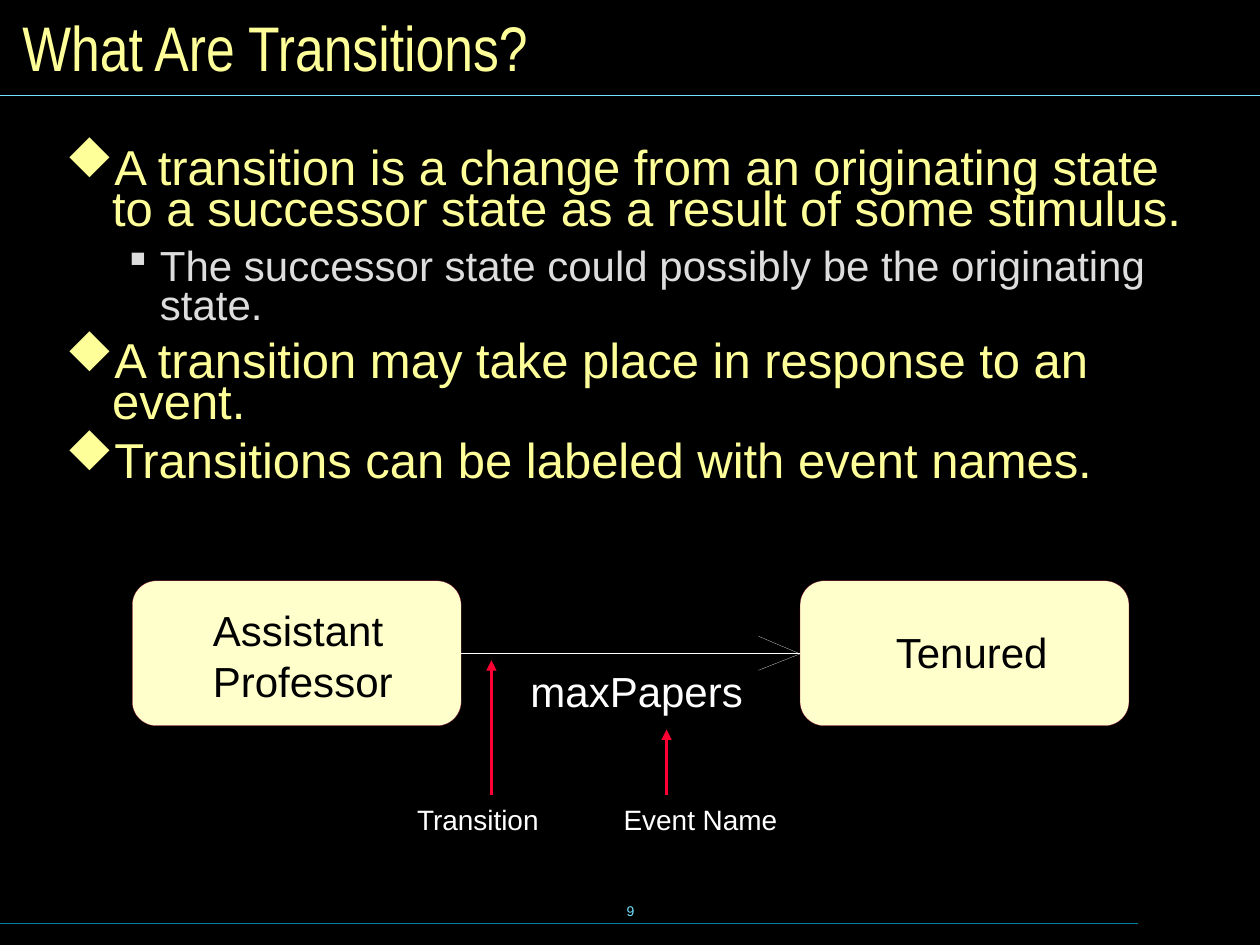
from lxml import etree
from pptx import Presentation
from pptx import util as u
from pptx.dml.color import RGBColor
from pptx.enum import shapes, text
from pptx.oxml import ns

BLACK = RGBColor(0x00, 0x00, 0x00)
WHITE = RGBColor(0xFF, 0xFF, 0xFF)
YELLOW = RGBColor(0xFF, 0xFF, 0x99)
GRAY = RGBColor(0xDD, 0xDD, 0xDD)
CREAM = RGBColor(0xFF, 0xFF, 0xCC)
WINE = RGBColor(0x99, 0x00, 0x33)
RED = RGBColor(0xFF, 0x00, 0x33)
SKY = RGBColor(0x73, 0xE1, 0xFF)
TEAL = RGBColor(0x00, 0x7E, 0x9F)

TITLE = "What Are Transitions?"
POINTS = [
    (0, "A transition is a change from an originating state to a successor state as a result of some stimulus."),
    (1, "The successor state could possibly be the originating state."),
    (0, "A transition may take place in response to an event."),
    (0, "Transitions can be labeled with event names."),
]
LEVELS = [
    dict(mark="u", left=0.37, hang=0.37, size=28, color=YELLOW, line=0.7, gap=10),
    dict(mark="§", left=0.75, hang=0.25, size=24, color=GRAY, line=0.77, gap=9),
]
STATES = [
    (1.05, "Assistant\nProfessor", (1.69, 4.8, 1.43, 0.8)),
    (6.35, "Tenured", (7.11, 4.97, 1.24, 0.4)),
]
EVENT = ("maxPapers", (4.21, 5.28, 1.69, 0.4))
NOTES = [
    ("Transition", (3.19, 6.31, 1.21, 0.39), 3.9, 5.24),
    ("Event Name", (4.83, 6.31, 1.46, 0.39), 5.29, 5.79),
]
RULES = [(0.76, 10, SKY), (7.33, 9.03, TEAL)]
TOP, WIDE, HIGH = 4.61, 2.61, 1.15
TIP = (6.35, 5.19)
BARBS = [(6.02, 5.05), (6.02, 5.32)]
THIN = 0.1

deck = Presentation()
deck.slide_width, deck.slide_height = u.Inches(10), u.Inches(7.5)
slide = deck.slides.add_slide(deck.slide_layouts[6])
slide.background.fill.solid()
slide.background.fill.fore_color.rgb = BLACK


def style(font, size, color, face="Arial"):
    font.size, font.name = u.Pt(size), face
    font.color.rgb = color


def add_box(at, pad, wrap=False, middle=False):
    frame = slide.shapes.add_textbox(*map(u.Inches, at)).text_frame
    frame.word_wrap = wrap
    frame.margin_left = frame.margin_right = u.Inches(pad)
    frame.margin_top = frame.margin_bottom = u.Inches(pad / 2)
    if middle:
        frame.vertical_anchor = text.MSO_ANCHOR.MIDDLE
    return frame


def add_text(words, at, size=24, color=WHITE, face="Arial", pad=0,
             wrap=False, middle=False, align=text.PP_ALIGN.LEFT):
    frame = add_box(at, pad, wrap, middle)
    frame.text = words
    for para in frame.paragraphs:
        para.alignment = align
        style(para.font, size, color, face)


def add_line(start, end, color, width, head=False):
    line = slide.shapes.add_connector(
        shapes.MSO_CONNECTOR.STRAIGHT, *map(u.Inches, (*start, *end)))
    line.line.color.rgb = color
    line.line.width = u.Pt(width)
    if head:
        etree.SubElement(line.line._get_or_add_ln(), ns.qn("a:tailEnd"), type="triangle")
    etree.SubElement(line._element.spPr, ns.qn("a:effectLst"))
    return line


def add_points(at):
    frame = add_box(at, 0.12, wrap=True)
    for i, (level, words) in enumerate(POINTS):
        look = LEVELS[level]
        para = frame.paragraphs[0] if i == 0 else frame.add_paragraph()
        para.text = words
        para.level = level
        para.line_spacing = look["line"]
        para.space_before = u.Pt(look["gap"] if i else 0)
        props = para._p.get_or_add_pPr()
        props.set("marL", str(u.Inches(look["left"])))
        props.set("indent", str(-u.Inches(look["hang"])))
        tint = etree.SubElement(props, ns.qn("a:buClr"))
        etree.SubElement(tint, ns.qn("a:srgbClr"), val=str(look["color"]))
        etree.SubElement(props, ns.qn("a:buFont"), typeface="Wingdings", charset="2")
        etree.SubElement(props, ns.qn("a:buChar"), char=look["mark"])
        style(para.font, look["size"], look["color"])


def add_state(left):
    state = slide.shapes.add_shape(
        shapes.MSO_SHAPE.ROUNDED_RECTANGLE, *map(u.Inches, (left, TOP, WIDE, HIGH)))
    state.shadow.inherit = False
    state.fill.solid()
    state.fill.fore_color.rgb = CREAM
    state.line.color.rgb = WINE
    state.line.width = u.Pt(THIN)
    return state


def add_head():
    pen = slide.shapes.build_freeform(*map(u.Inches, BARBS[0]), scale=1.0)
    pen.add_line_segments(
        [tuple(map(u.Inches, spot)) for spot in (TIP, BARBS[1])], close=False)
    head = pen.convert_to_shape()
    head.shadow.inherit = False
    head.fill.background()
    head.line.color.rgb = WHITE
    head.line.width = u.Pt(THIN)


for y, end, color in RULES:
    add_line((0, y), (end, y), color, 0.75)
add_text("9", (3.42, 6.98, 3.17, 0.5), size=8, color=SKY, pad=0.1,
         wrap=True, middle=True, align=text.PP_ALIGN.CENTER)
add_text(TITLE, (0.08, 0.08, 9.84, 0.58), size=36, color=YELLOW,
         face="Arial Narrow", pad=0.1, wrap=True, middle=True)
add_points((0.4, 1.15, 9.1, 3.35))

first, last = [add_state(left) for left, _, _ in STATES]
for _, name, at in STATES:
    add_text(name, at, color=BLACK)
link = add_line((STATES[0][0] + WIDE, TIP[1]), TIP, WHITE, THIN)
link.begin_connect(first, 3)
link.end_connect(last, 1)
add_head()
add_text(*EVENT)
for name, at, x, tip in NOTES:
    add_text(name, at, size=16, pad=0.12)
    add_line((x, at[1]), (x, tip), RED, 1.75, head=True)

deck.save("out.pptx")
